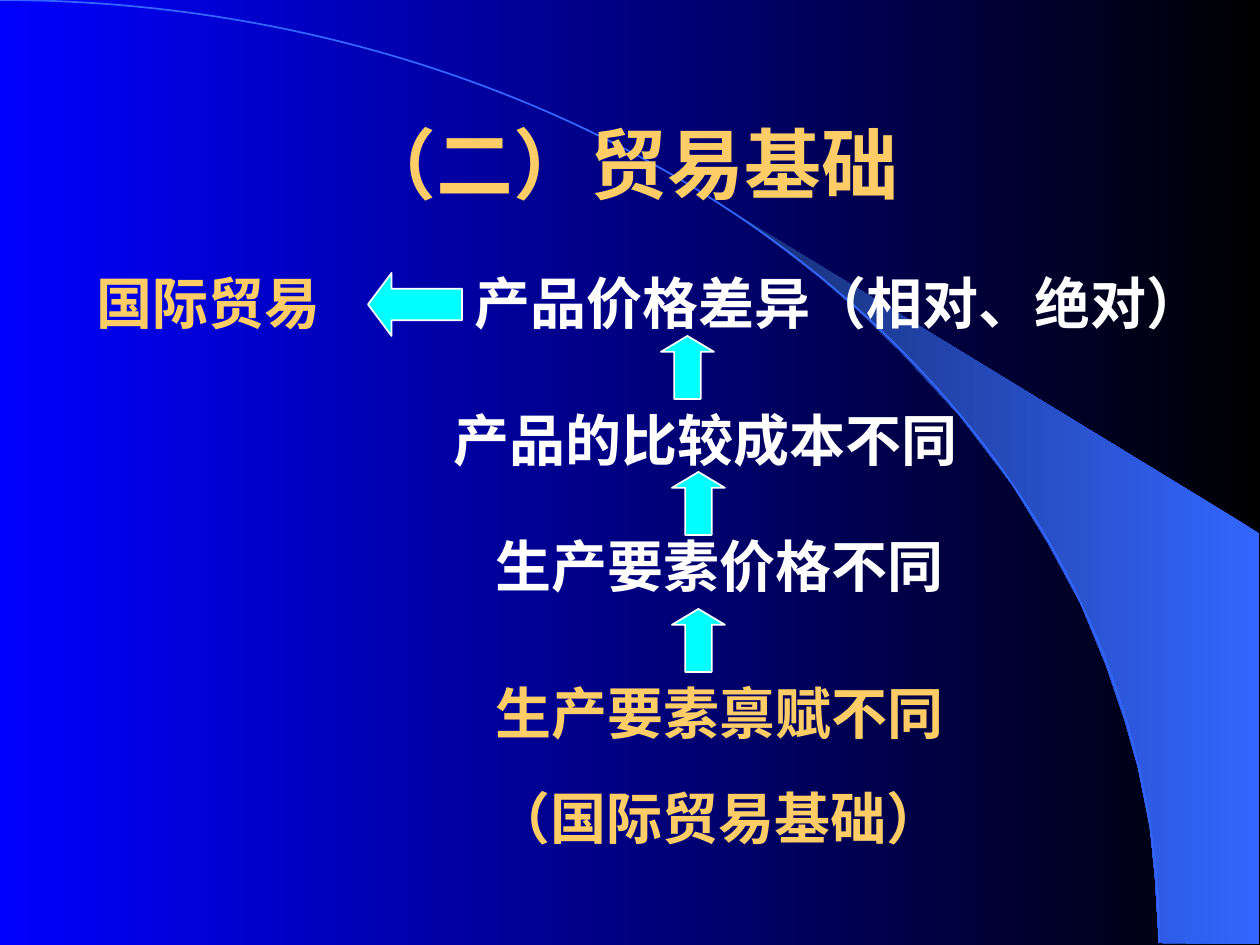
from pptx import Presentation
from pptx import util as u
from pptx.dml.color import RGBColor
from pptx.enum import shapes, text

PX = 914400 // 126  # EMU in one px
GOLD, WHITE, CYAN, BLUE = "FFCC66", "FFFFFF", "00FFFF", "3366FF"

# Outline of the light beam beside the arc
BEAM = [(1159, 943), (1259, 944), (1259, 533), (742, 218), (786, 251),
        (823, 280), (863, 315), (902, 353), (960, 416), (1012, 484),
        (1048, 543), (1081, 604), (1106, 665), (1125, 721), (1138, 767),
        (1150, 827), (1155, 877)]

# Text, colour, left, top, width, alignment
LABELS = [
    ("产品价格差异（相对、绝对）", WHITE, 462, 262, 798, "LEFT"),
    ("国际贸易", GOLD, 84, 262, 353, "LEFT"),
    ("产品的比较成本不同", WHITE, 441, 399, 536, "LEFT"),
    ("生产要素价格不同", WHITE, 483, 525, 536, "LEFT"),
    ("生产要素禀赋不同", GOLD, 483, 672, 536, "LEFT"),
    ("（国际贸易基础）", GOLD, 451, 777, 536, "CENTER"),
]


def px(*lengths):
    return [u.Emu(n * PX) for n in lengths]


def rgb(value):
    return RGBColor.from_string(value)


def set_gradient(fill, start, end):
    fill.gradient()
    fill.gradient_angle = 180
    for stop, color in zip(fill.gradient_stops, (start, end)):
        stop.color.rgb = rgb(color)


def set_line(sp, color):
    sp.line.color.rgb = rgb(color)
    sp.line.width = u.Pt(1)


def add_beam(s):
    builder = s.shapes.build_freeform(*BEAM[0], scale=PX)
    builder.add_line_segments(BEAM[1:], close=True)
    sp = builder.convert_to_shape()
    sp.shadow.inherit = False
    set_gradient(sp.fill, BLUE, "172F75")
    sp.line.fill.background()


def add_arc(s, rx, ry):
    sp = s.shapes.add_shape(shapes.MSO_SHAPE.ARC, *px(-rx, 0, 2 * rx, 2 * ry))
    sp.shadow.inherit = False
    sp.fill.background()
    set_line(sp, BLUE)


def add_text(s, words, box, color, size, font, align, anchor="TOP"):
    tf = s.shapes.add_textbox(*px(*box)).text_frame
    tf.word_wrap = True
    tf.vertical_anchor = text.MSO_ANCHOR[anchor]
    p = tf.paragraphs[0]
    p.alignment = text.PP_ALIGN[align]
    r = p.add_run()
    r.text = words
    r.font.name = font
    r.font.size = u.Pt(size)
    r.font.bold = True
    r.font.color.rgb = rgb(color)


def add_arrow(s, kind, box, head):
    sp = s.shapes.add_shape(kind, *px(*box))
    sp.shadow.inherit = False
    sp.adjustments[0] = 0.5
    sp.adjustments[1] = head
    sp.fill.solid()
    sp.fill.fore_color.rgb = rgb(CYAN)
    set_line(sp, WHITE)


def main():
    prs = Presentation()
    prs.slide_width, prs.slide_height = px(1260, 945)
    s = prs.slides.add_slide(prs.slide_layouts[6])

    # Backdrop
    set_gradient(s.background.fill, "000000", "0000FF")
    add_beam(s)
    add_arc(s, 1159, 943)

    # Title and labels
    add_text(s, "（二）贸易基础", (94, 84, 1071, 158), GOLD, 44, "Arial",
             "CENTER", "MIDDLE")
    for words, color, left, top, width, align in LABELS:
        add_text(s, words, (left, top, width, 94), color, 32,
                 "Times New Roman", align)

    # Arrows from cause to effect
    add_arrow(s, shapes.MSO_SHAPE.LEFT_ARROW, (368, 273, 94, 63), 0.375)
    for left, top in ((661, 336), (672, 472), (672, 609)):
        add_arrow(s, shapes.MSO_SHAPE.UP_ARROW, (left, top, 53, 63), 0.3)

    prs.save("out.pptx")


if __name__ == "__main__":
    main()
